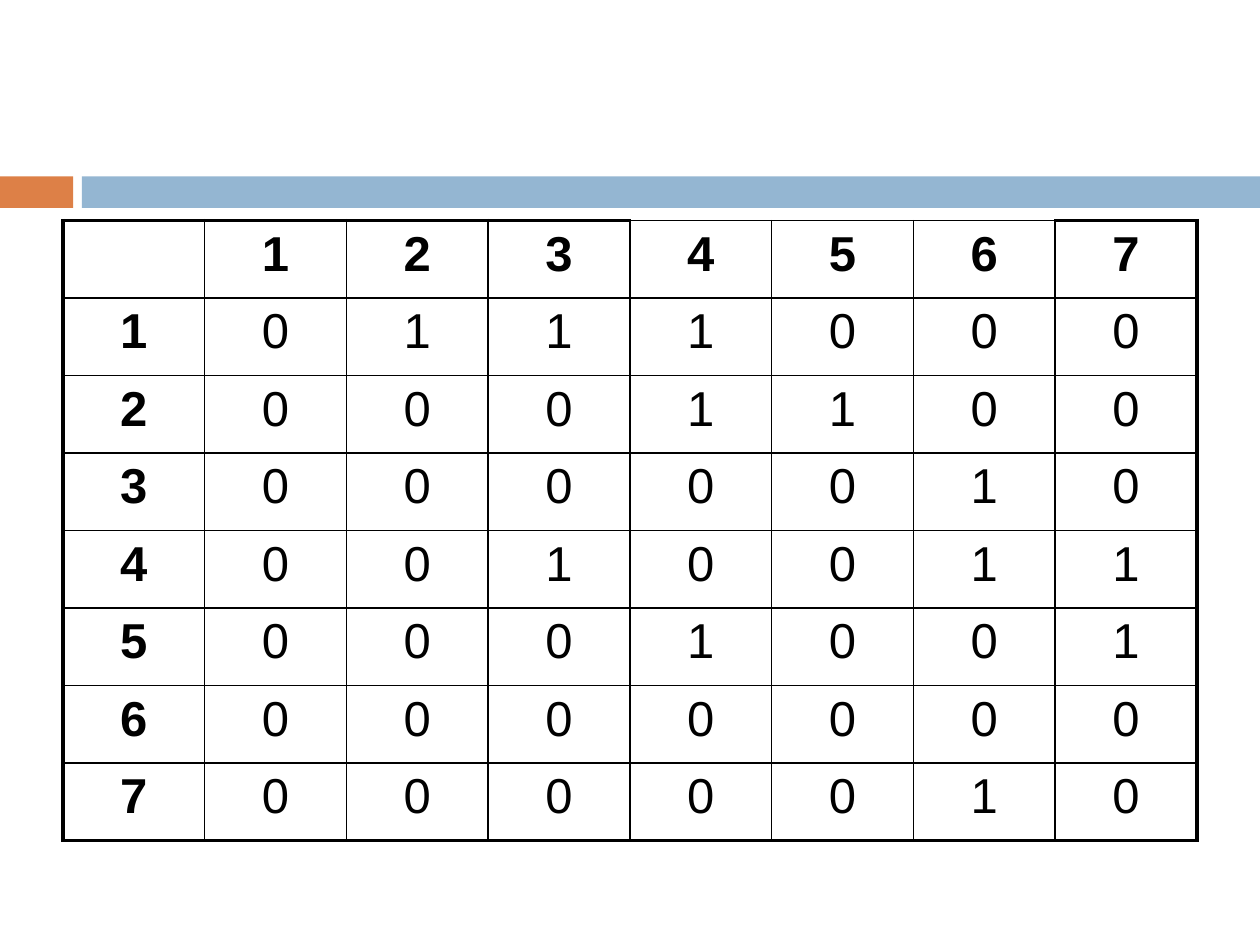
from pptx import Presentation
from pptx.dml.color import RGBColor
from pptx.enum.shapes import MSO_SHAPE as Shape
from pptx.enum.text import MSO_ANCHOR as Anchor, PP_ALIGN as Align
from pptx.oxml import parse_xml
from pptx.oxml.ns import nsdecls
from pptx.util import Inches, Pt

BLACK = RGBColor(0, 0, 0)
ORANGE = RGBColor(0xDD, 0x80, 0x47)
BLUE = RGBColor(0x94, 0xB6, 0xD2)

# Adjacency matrix of a directed graph: vertex -> the vertices it points to
EDGES = {
    1: [2, 3, 4],
    2: [4, 5],
    3: [6],
    4: [3, 6, 7],
    5: [4, 7],
    6: [],
    7: [6],
}
NODES = list(EDGES)
ROWS = [["", *NODES]] + [
    [node, *(int(end in EDGES[node]) for end in NODES)] for node in NODES
]
SIZE = len(ROWS)

BANDS = [(0, 0.58, ORANGE), (0.65, 9.35, BLUE)]  # left, width, colour
BAND_TOP, BAND_HIGH = 1.4, 0.25
GRID = (0.5, 1.75, 9, 4.92)
THIN, THICK = 1, 2.25
THIN_TOPS = (4, 5, 6)  # header columns without a heavy top edge


def edge_widths(row, col):
    """Return the border widths of a cell, in the order its XML needs."""
    last = SIZE - 1
    heavy = {
        "L": col == 0,
        "R": col == last,
        "T": row == 0 and col not in THIN_TOPS,
        "B": row == last,
    }
    return {side: THICK if on else THIN for side, on in heavy.items()}


def draw_edges(cell, widths):
    props = cell._tc.get_or_add_tcPr()
    for side, width in widths.items():
        props.append(parse_xml(
            f'<a:ln{side} {nsdecls("a")} w="{Pt(width)}">'
            f'<a:solidFill><a:srgbClr val="{BLACK}"/></a:solidFill>'
            f'</a:ln{side}>'
        ))


def add_bands(slide):
    for left, wide, color in BANDS:
        box = [Inches(n) for n in (left, BAND_TOP, wide, BAND_HIGH)]
        band = slide.shapes.add_shape(Shape.RECTANGLE, *box)
        band.shadow.inherit = False
        band.fill.solid()
        band.fill.fore_color.rgb = color
        band.line.fill.background()


def add_matrix(slide):
    box = [Inches(n) for n in GRID]
    table = slide.shapes.add_table(SIZE, SIZE, *box).table
    table.first_row = table.horz_banding = False
    for r, values in enumerate(ROWS):
        for c, value in enumerate(values):
            cell = table.cell(r, c)
            cell.vertical_anchor = Anchor.TOP
            draw_edges(cell, edge_widths(r, c))
            cell.fill.background()
            para = cell.text_frame.paragraphs[0]
            para.text = str(value)
            para.alignment = Align.CENTER
            style = {"name": "Arial", "size": Pt(28), "bold": r == 0 or c == 0}
            for key, val in style.items():
                setattr(para.font, key, val)
            para.font.color.rgb = BLACK


def main():
    deck = Presentation()
    deck.slide_width, deck.slide_height = Inches(10), Inches(7.5)
    slide = deck.slides.add_slide(deck.slide_layouts[6])
    add_bands(slide)
    add_matrix(slide)
    deck.save("out.pptx")


if __name__ == "__main__":
    main()
